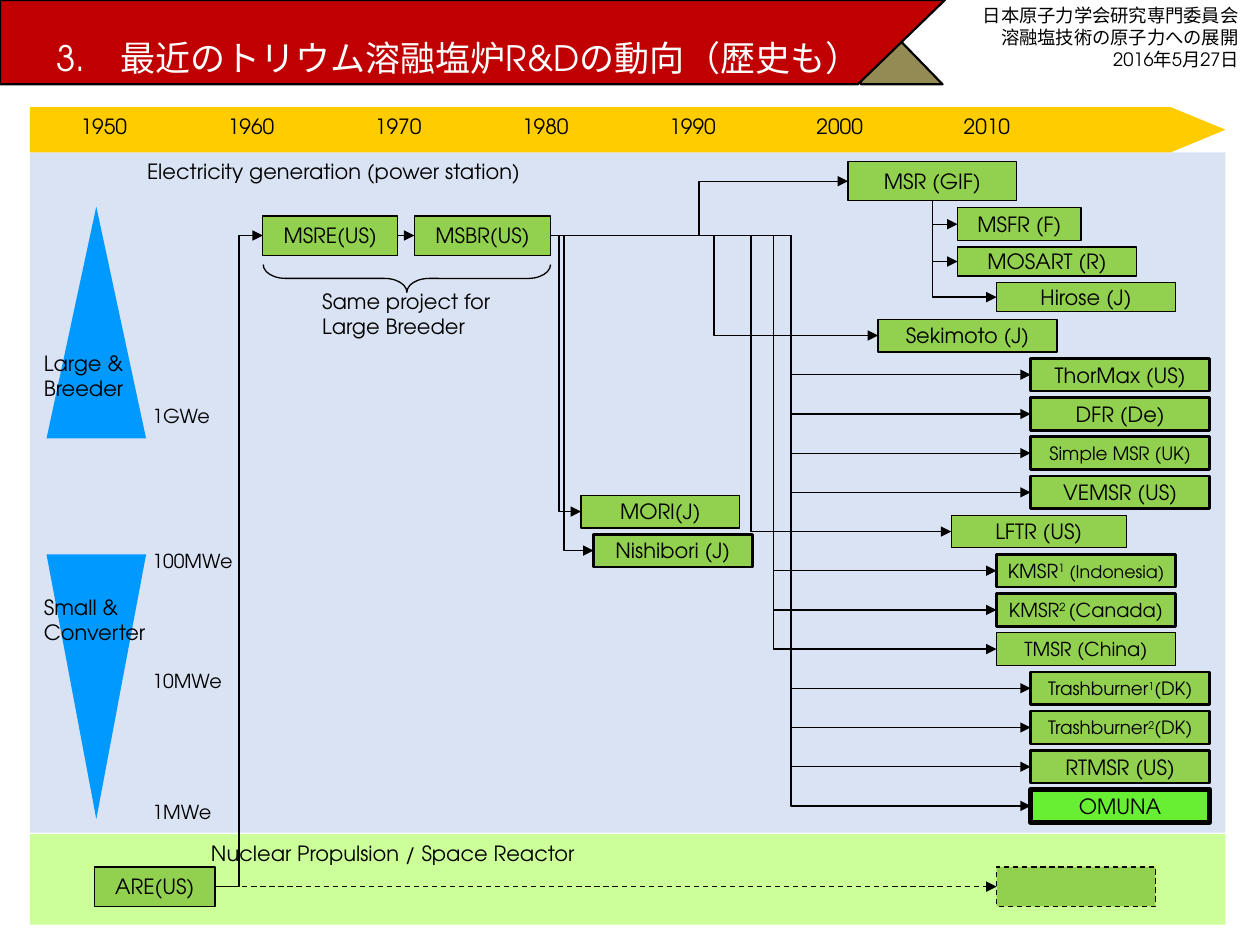
import dataclasses

import pptx
import pptx.dml.color
import pptx.enum.dml
import pptx.enum.shapes
import pptx.enum.text
import pptx.oxml.ns
import pptx.util
from lxml import etree

Pt = pptx.util.Pt
MSO = pptx.enum.shapes.MSO_SHAPE
ALIGN = pptx.enum.text.PP_ALIGN
ANCHOR = pptx.enum.text.MSO_ANCHOR
qn = pptx.oxml.ns.qn


@dataclasses.dataclass(frozen=True)
class Theme:
    """Colours, font and type sizes of the slide."""
    font: str = "TeX Gyre Adventor"
    black: str = "000000"
    white: str = "FFFFFF"
    banner: str = "C00000"
    fold: str = "948A54"
    axis: str = "FFCC00"
    power: str = "DAE3F3"
    propulsion: str = "CCFF99"
    scale: str = "0099FF"
    reactor: str = "92D050"
    focus: str = "68EE32"
    title: float = 20
    body: float = 12
    label: float = 11
    small: float = 10.5
    tiny: float = 10
    thin: float = 0.75
    edge: float = 1.25
    thick: float = 1.5
    heavy: float = 3


T = Theme()
LEFT = {"word_wrap": False, "vertical_anchor": ANCHOR.TOP}
CENTRE = {"word_wrap": False, "vertical_anchor": ANCHOR.MIDDLE}


def rgb(value):
    """Return a colour object for a hex string."""
    return pptx.dml.color.RGBColor.from_string(value)


def write(tf, paragraphs, size=T.body, color=T.black, align=ALIGN.LEFT, **frame):
    """Fill a text frame; a paragraph is a string or a list of (text, size, raised)."""
    for name, value in frame.items():
        setattr(tf, name, value)
    for i, runs in enumerate(paragraphs):
        p = tf.paragraphs[0] if i == 0 else tf.add_paragraph()
        p.alignment = align
        for text, run_size, raised in [(runs, size, False)] if isinstance(runs, str) else runs:
            r = p.add_run()
            r.text = text
            for name, value in {"size": Pt(run_size), "name": T.font, "bold": False}.items():
                setattr(r.font, name, value)
            r.font.color.rgb = rgb(color)
            if raised:
                r._r.get_or_add_rPr().set("baseline", "30000")


def paint(sp, fill=None, line=None, dash=False):
    """Set the fill and outline of a shape and drop its shadow."""
    sp.shadow.inherit = False
    if fill:
        sp.fill.solid()
        sp.fill.fore_color.rgb = rgb(fill)
    else:
        sp.fill.background()
    if line:
        sp.line.color.rgb = rgb(T.black)
        sp.line.width = Pt(line)
        if dash:
            sp.line.dash_style = pptx.enum.dml.MSO_LINE.DASH
    else:
        sp.line.fill.background()


def shape(s, kind, box, **style):
    """Add a painted preset shape in a box."""
    sp = s.shapes.add_shape(kind, *map(Pt, box))
    paint(sp, **style)
    return sp


def label(s, box, paragraphs, **style):
    """Add a text box."""
    tf = s.shapes.add_textbox(*map(Pt, box)).text_frame
    write(tf, paragraphs, **{**LEFT, **style})


def reactor(s, box, text, size=T.body, line=T.thin, fill=T.reactor):
    """Add a reactor box with a centred name."""
    sp = shape(s, MSO.RECTANGLE, box, fill=fill, line=line)
    write(sp.text_frame, [text], size=size, align=ALIGN.CENTER, **CENTRE)


def arrow(s, start, end, bend=None, dash=False):
    """Add an arrow, straight or with its vertical leg at x = bend."""
    kinds = pptx.enum.shapes.MSO_CONNECTOR
    kind = kinds.STRAIGHT if bend is None else kinds.ELBOW
    c = s.shapes.add_connector(kind, *map(Pt, start + end))
    c.line.color.rgb = rgb(T.black)
    c.line.width = Pt(T.thin)
    if dash:
        c.line.dash_style = pptx.enum.dml.MSO_LINE.DASH
    spPr = c._element.spPr
    if bend is not None:
        ratio = round((bend - start[0]) / (end[0] - start[0]) * 100000)
        guides = spPr.find(qn("a:prstGeom")).get_or_add_avLst()
        etree.SubElement(guides, qn("a:gd"), name="adj1", fmla=f"val {ratio}")
    etree.SubElement(spPr.find(qn("a:ln")), qn("a:tailEnd"), type="triangle")
    etree.SubElement(spPr, qn("a:effectLst"))


def header(s, x, y, w, h):
    """Draw the folded banner with the title and the meeting details."""
    shape(s, MSO.RIGHT_TRIANGLE, (x + 491.8, y, 46.8, h), fill=T.fold, line=T.edge)
    outline = s.shapes.build_freeform(Pt(x), Pt(y))
    corners = [(x + 540, y), (x + 490.3, y + h), (x, y + h)]
    outline.add_line_segments([(Pt(a), Pt(b)) for a, b in corners])
    paint(outline.convert_to_shape(), fill=T.banner, line=T.edge)
    title = s.shapes.title
    s.shapes._spTree.append(title._element)
    place = {"left": x + 32, "top": y + 0.5, "width": 480, "height": h}
    for name, value in place.items():
        setattr(title, name, Pt(value))
    write(title.text_frame, ["3.　最近のトリウム溶融塩炉R&Dの動向（歴史も）"],
          size=T.title, color=T.white, margin_left=0, margin_right=0, word_wrap=False,
          vertical_anchor=ANCHOR.BOTTOM, auto_size=pptx.enum.text.MSO_AUTO_SIZE.NONE)
    label(s, (x + w - 168, y - 1.4, 163, 45.4),
          ["日本原子力学会研究専門委員会", "溶融塩技術の原子力への展開", "2016年5月27日"],
          size=T.small, align=ALIGN.RIGHT)


def timeline(s, x, y, w, h):
    """Draw the arrow of decades."""
    sp = shape(s, MSO.PENTAGON, (x, y, w, h), fill=T.axis)
    sp.adjustments[0] = 1.21
    for i in range(7):
        label(s, (x + 22 + 84.1 * i, y, 41, 20), [str(1950 + 10 * i)])


def propulsion(s, x, y, w, h):
    """Draw the propulsion band and return the right middle of its first reactor."""
    sp = shape(s, MSO.RECTANGLE, (x, y, w, h), fill=T.propulsion)
    write(sp.text_frame, ["Nuclear Propulsion / Space Reactor"], margin_left=Pt(103.5), **LEFT)
    top = y + 18.8
    reactor(s, (x + 37, top, 69, 22.5), "ARE(US)")
    shape(s, MSO.RECTANGLE, (x + 552.5, top, 90.7, 22.5), fill=T.reactor, line=T.thin, dash=True)
    source = (x + 106, top + 11.25)
    arrow(s, source, (x + 552.5, source[1]), dash=True)
    return source


def power_scale(s, x, y):
    """Draw the output scale with its two wedges."""
    wedges = [(31, 132.5, 109.8, ["Large &", "Breeder"]), (229.8, 151.2, 249.2, ["Small &", "Converter"])]
    for i, (top, height, text_top, lines) in enumerate(wedges):
        sp = shape(s, MSO.ISOSCELES_TRIANGLE, (x + 9.6, y + top, 56.9, height), fill=T.scale)
        if i:
            sp._element.spPr.find(qn("a:xfrm")).set("flipV", "1")
        label(s, (x + 1, y + text_top, 73.4, 33), lines)
    for text, top in [("1GWe", 140.5), ("100MWe", 223.3), ("10MWe", 291.7), ("1MWe", 366.6)]:
        label(s, (x + 63, y + top, 61.2, 18.7), [text], size=T.label)


def generation(s, x, y, w, h, source):
    """Draw the power station panel and the family tree of reactors."""
    sp = shape(s, MSO.RECTANGLE, (x, y, w, h), fill=T.power)
    write(sp.text_frame, ["Electricity generation (power station)"], margin_left=Pt(67), **LEFT)
    power_scale(s, x, y)
    trunk = y + 47.5
    reactor(s, (x + 133.2, trunk - 11.2, 77, 22.5), "MSRE(US)")
    reactor(s, (x + 219.8, trunk - 11.2, 77.8, 22.5), "MSBR(US)")
    arrow(s, source, (x + 133.2, trunk), x + 119.6)
    arrow(s, (x + 210.2, trunk), (x + 219.8, trunk))
    brace = shape(s, MSO.RIGHT_BRACE, (x + 207.6, y - 10.1, 15.8, 164.2), line=T.thin)
    brace.rotation = 90
    brace.adjustments[0] = 0.81
    label(s, (x + 160, y + 74.2, 139.7, 33), ["Same project for Large Breeder"], word_wrap=True)

    def waste(n):
        """Return the runs of a numbered waste reactor."""
        return [("Trashburner", T.small, False), (n, T.small, True), ("(DK)", T.small, False)]

    compact = ("KMSR", T.label, False)
    indonesia = [compact, ("1", T.label, True), (" (Indonesia)", T.tiny, False)]
    canada = [compact, ("2 ", T.label, True), ("(Canada)", T.label, False)]
    late, middle = (572, 102.2, 435), (552.5, 102.2, 425)
    rows = [("Sekimoto (J)", (484.8, 102.2, 391), T.body, T.thin),
            ("ThorMax (US)", late, T.body, T.thick),
            ("DFR (De)", late, T.body, T.thick),
            ("Simple MSR (UK)", late, T.small, T.thick),
            ("VEMSR (US)", late, T.body, T.thick),
            ("LFTR (US)", (526.6, 100, 412), T.body, T.thin),
            (indonesia, middle, T.label, T.thick),
            (canada, middle, T.label, T.thick),
            ("TMSR (China)", middle, T.label, T.thin),
            (waste("1"), late, T.small, T.thick),
            (waste("2"), late, T.small, T.thick),
            ("RTMSR (US)", late, T.body, T.thick),
            ("OMUNA", late, T.body, T.heavy)]
    branches = [(text, left, 95.3 + 22.4 * i, width, 18.7, bend, size, line)
                for i, (text, (left, width, bend), size, line) in enumerate(rows)]
    branches += [("MSR (GIF)", 467.6, 5.2, 96.5, 22.5, 382.5, T.body, T.thin),
                 ("MORI(J)", 315, 195.9, 90.7, 18.7, 302.5, T.body, T.thin),
                 ("Nishibori (J)", 322.2, 218.2, 90.7, 18.7, 305.3, T.body, T.thick)]
    for text, left, top, width, height, bend, size, line in branches:
        fill = T.focus if line == T.heavy else T.reactor
        reactor(s, (x + left, y + top, width, height), text, size, line, fill)
        arrow(s, (x + 297.6, trunk), (x + left, y + top + height / 2), x + bend)

    stem = x + 515.8
    for text, left, top, width, height in [("MSFR (F)", 530.2, 31.7, 70.6, 18.7),
                                           ("MOSART (R)", 530.2, 54, 102.2, 16.6),
                                           ("Hirose (J)", 552.5, 74.4, 102.2, 16.6)]:
        reactor(s, (x + left, y + top, width, height), text)
        arrow(s, (stem, y + 27.7), (x + left, y + top + height / 2), stem)


def main():
    """Build the slide and save it."""
    prs = pptx.Presentation()
    prs.slide_width, prs.slide_height = Pt(720), Pt(540)
    s = prs.slides.add_slide(prs.slide_layouts[5])
    header(s, 0, 0, 720, 48.2)
    source = propulsion(s, 17, 476.6, 683.3, 51.8)
    generation(s, 17, 87.1, 683.3, 388.8, source)
    timeline(s, 17, 61.2, 683.3, 25.9)
    prs.save("out.pptx")


if __name__ == "__main__":
    main()
